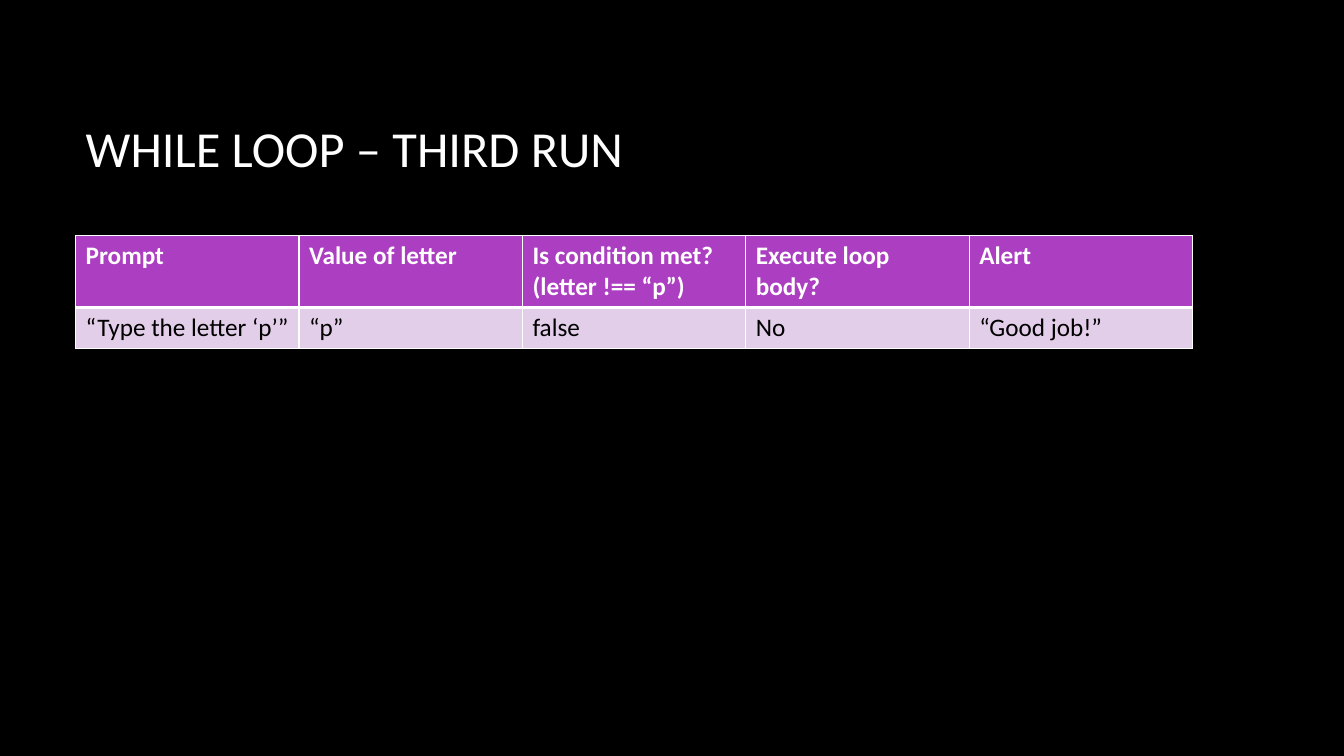
import pptx
import pptx.dml.color
import pptx.enum.text
import pptx.util
from lxml import etree
from pptx.oxml.ns import qn
from pptx.util import Inches

FONT = "Calibri"
WHITE, BLACK = "FFFFFF", "000000"
HEADER_FILL, BODY_FILL = "AC3EC1", "E3CEE9"
LEFT, WIDTH = 0.75, 11.08
ROW_HEIGHTS = [0.71, 0.41]
ROWS = [
    ["Prompt", "Value of letter", "Is condition met?\n(letter !== “p”)",
     "Execute loop body?", "Alert"],
    ["“Type the letter ‘p’”", "“p”", "false", "No", "“Good job!”"],
]


def rgb(color):
    return pptx.dml.color.RGBColor.from_string(color)


def format_text(tf, size, color, bold=False):
    for p in tf.paragraphs:
        for r in p.runs:
            r.font.name = FONT
            r.font.size = pptx.util.Pt(size)
            r.font.bold = bold
            r.font.color.rgb = rgb(color)


def set_borders(cell, widths, color):
    """Draw the cell's sides; widths maps L, R, T, B, in that order, to points."""
    tcPr = cell._tc.get_or_add_tcPr()
    for side, width in widths.items():
        ln = etree.SubElement(tcPr, qn(f"a:ln{side}"), w=str(pptx.util.Pt(width)))
        fill = etree.SubElement(ln, qn("a:solidFill"))
        etree.SubElement(fill, qn("a:srgbClr"), val=color)


def add_title(s, text):
    title = s.shapes.title
    title.left, title.top = Inches(LEFT), Inches(0.67)
    title.width, title.height = Inches(WIDTH), Inches(1.59)
    tf = title.text_frame
    tf.text = text
    tf.vertical_anchor = pptx.enum.text.MSO_ANCHOR.MIDDLE
    tf.paragraphs[0].alignment = pptx.enum.text.PP_ALIGN.LEFT
    format_text(tf, 36, WHITE)


def add_run_table(s, rows):
    table = s.shapes.add_table(
        len(rows), len(rows[0]), Inches(LEFT), Inches(2.34),
        Inches(WIDTH), Inches(sum(ROW_HEIGHTS))).table
    for i, texts in enumerate(rows):
        header = i == 0
        table.rows[i].height = Inches(ROW_HEIGHTS[i])
        for j, text in enumerate(texts):
            cell = table.cell(i, j)
            cell.text_frame.text = text
            format_text(cell.text_frame, 18, WHITE if header else BLACK, header)
            set_borders(cell, {"L": 1, "R": 1, "T": 1 if header else 3,
                               "B": 3 if header else 1}, WHITE)
            cell.fill.solid()
            cell.fill.fore_color.rgb = rgb(HEADER_FILL if header else BODY_FILL)


def main():
    prs = pptx.Presentation()
    prs.slide_width, prs.slide_height = Inches(13.33), Inches(7.5)
    s = prs.slides.add_slide(prs.slide_layouts[5])
    s.background.fill.solid()
    s.background.fill.fore_color.rgb = rgb(BLACK)
    add_title(s, "WHILE LOOP – THIRD RUN")
    add_run_table(s, ROWS)
    prs.save("out.pptx")


if __name__ == "__main__":
    main()
